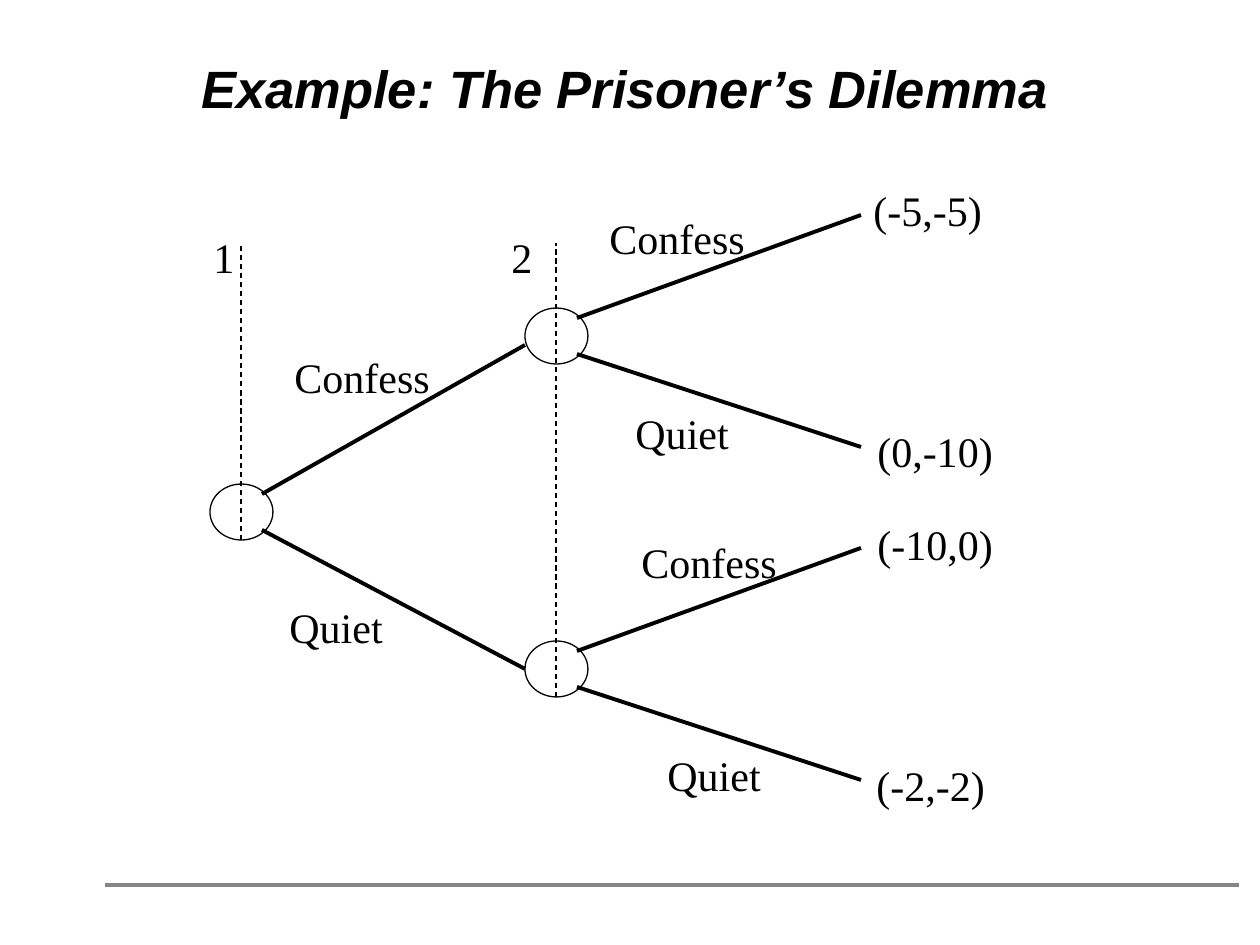
from pptx import Presentation
from pptx.dml.color import RGBColor
from pptx.enum.dml import MSO_LINE
from pptx.enum.shapes import MSO_CONNECTOR, MSO_SHAPE
from pptx.enum.text import MSO_ANCHOR, MSO_AUTO_SIZE, PP_ALIGN
from pptx.oxml.ns import qn
from pptx.util import Pt
from lxml.etree import SubElement

PX = 914400 // 126
BLACK = "000000"
LABEL = {"name": "Times New Roman", "size": Pt(24)}
TITLE = {"name": "Arial", "size": Pt(30), "bold": True, "italic": True}


def color(value):
    return RGBColor.from_string(value)


def add_text(words, left, top, width, height, style):
    box = page.shapes.add_textbox(left * PX, top * PX, width * PX, height * PX)
    span = box.text_frame.paragraphs[0].add_run()
    span.text = words
    for name, value in style.items():
        setattr(span.font, name, value)
    span.font.color.rgb = color(BLACK)
    return box.text_frame


deck = Presentation()
deck.slide_width = 1260 * PX
deck.slide_height = 945 * PX
page = deck.slides.add_slide(deck.slide_layouts[6])

title = add_text("Example: The Prisoner’s Dilemma", 53, 44, 1144, 81, TITLE)
title.word_wrap = True
title.vertical_anchor = MSO_ANCHOR.BOTTOM
title.paragraphs[0].alignment = PP_ALIGN.CENTER
title.paragraphs[0].line_spacing = 0.85

subtree_gap = 333
edges = [
    (105, 885, 1239, 885, "868686", 2.25, None),
    (262, 494, 525, 345, BLACK, 2.25, None),
    (262, 530, 525, 669, BLACK, 2.25, None),
]
for shift in (0, subtree_gap):
    edges.append((577, 318 + shift, 861, 215 + shift, BLACK, 2.25, None))
    edges.append((577, 354 + shift, 861, 447 + shift, BLACK, 2.25, None))
edges.append((241, 540, 241, 243, BLACK, 0.75, MSO_LINE.DASH))
edges.append((556, 697, 556, 243, BLACK, 0.75, MSO_LINE.DASH))

nodes = [(210, 484), (525, 308 + subtree_gap), (525, 308)]
for left, top in nodes:
    node = page.shapes.add_shape(
        MSO_SHAPE.OVAL, left * PX, top * PX, 63 * PX, 56 * PX)
    node.shadow.inherit = False
    node.fill.solid()
    node.fill.fore_color.rgb = color("FFFFFF")
    node.line.color.rgb = color(BLACK)
    node.line.width = Pt(0.75)

for x1, y1, x2, y2, ink, weight, dash in edges:
    edge = page.shapes.add_connector(
        MSO_CONNECTOR.STRAIGHT, x1 * PX, y1 * PX, x2 * PX, y2 * PX)
    edge.line.color.rgb = color(ink)
    edge.line.width = Pt(weight)
    edge.line.dash_style = dash
    SubElement(edge._element.spPr, qn("a:effectLst"))

label_widths = {"1": 46, "2": 46, "Confess": 161, "Quiet": 119,
                "(-5,-5)": 134, "(0,-10)": 141, "(-10,0)": 141, "(-2,-2)": 134}
labels = [
    ("1", 201, 225), ("2", 499, 225),
    ("Confess", 282, 345), ("Quiet", 277, 595),
    ("Confess", 597, 206), ("Quiet", 623, 401),
    ("Confess", 629, 530), ("Quiet", 655, 743),
    ("(-5,-5)", 861, 178), ("(0,-10)", 865, 419),
    ("(-10,0)", 865, 512), ("(-2,-2)", 864, 753),
]
for words, left, top in labels:
    label = add_text(words, left, top, label_widths[words], 63, LABEL)
    label.word_wrap = False
    label.auto_size = MSO_AUTO_SIZE.SHAPE_TO_FIT_TEXT

deck.save("out.pptx")
